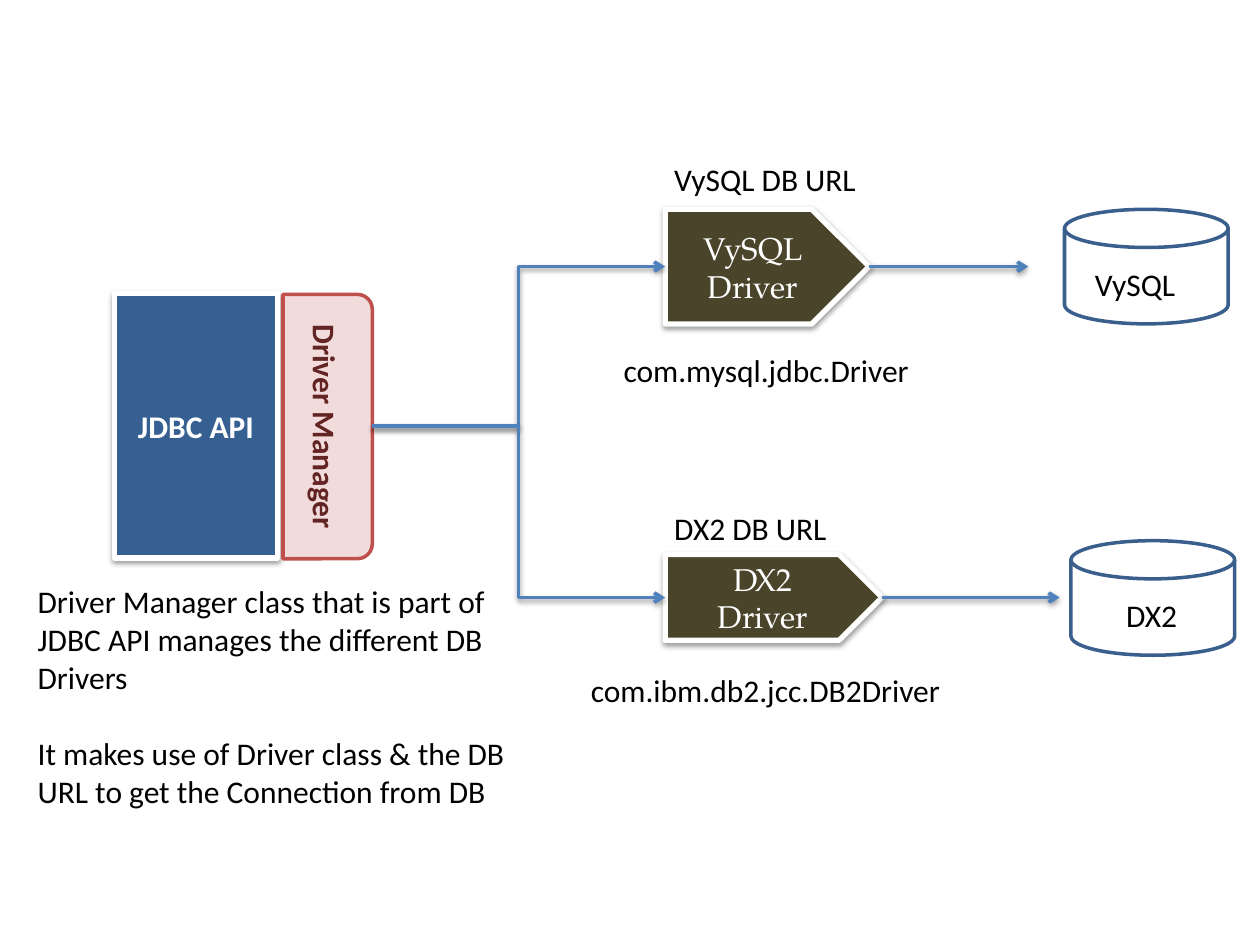
from dataclasses import dataclass

from lxml import etree
from pptx import Presentation
from pptx import util as u
from pptx.dml.color import RGBColor
from pptx.enum import shapes, text
from pptx.oxml import ns

WHITE = RGBColor(0xFF, 0xFF, 0xFF)
BLACK = RGBColor(0x00, 0x00, 0x00)
OLIVE = RGBColor(0x4A, 0x45, 0x2A)
NAVY = RGBColor(0x37, 0x60, 0x92)
PINK = RGBColor(0xF2, 0xDC, 0xDB)
RED = RGBColor(0xC0, 0x50, 0x4D)
MAROON = RGBColor(0x63, 0x25, 0x23)
LINK_BLUE = RGBColor(0x4F, 0x81, 0xBD)
DISK_BLUE = RGBColor(0x3A, 0x5F, 0x8C)

BODY_FONT = "Calibri"
DRIVER_FONT = "TeX Gyre Pagella"
FONT_SIZE = u.Pt(18)
LABEL_HEIGHT = 1.02
PLATE_LEFT = 13.41
MANAGER_EXIT = (7.49, 8.59)


@dataclass(frozen=True)
class Box:
    """A frame in centimetres."""
    left: float
    top: float
    width: float
    height: float = LABEL_HEIGHT

    def lengths(self):
        return [u.Cm(value) for value in (self.left, self.top, self.width, self.height)]


@dataclass(frozen=True)
class Label:
    words: str
    box: Box


@dataclass(frozen=True)
class DriverLane:
    """One driver with its labels, its database and the arrow between them."""
    driver: Label
    labels: tuple[Label, ...]
    disk: Box
    arrow_end: float


LANES = (
    DriverLane(
        Label("VySQL Driver", Box(PLATE_LEFT, 4.22, 4.11, 2.31)),
        (
            Label("VySQL DB URL", Box(13.34, 3.1, 4.42)),
            Label("com.mysql.jdbc.Driver", Box(12.32, 6.96, 6.32)),
            Label("VySQL", Box(21.82, 5.21, 2.34)),
        ),
        Box(21.46, 4.22, 3.3, 2.31),
        20.73,
    ),
    DriverLane(
        Label("DX2\nDriver", Box(PLATE_LEFT, 11.18, 4.37, 1.73)),
        (
            Label("DX2 DB URL", Box(13.34, 10.13, 3.66)),
            Label("com.ibm.db2.jcc.DB2Driver", Box(11.66, 13.41, 7.62)),
            Label("DX2", Box(22.45, 11.89, 1.57)),
        ),
        Box(21.59, 10.9, 3.3, 2.31),
        21.36,
    ),
)

NOTE = Label(
    "Driver Manager class that is part of JDBC API manages the different DB Drivers\n"
    "It makes use of Driver class & the DB URL to get the Connection from DB",
    Box(0.51, 11.61, 10.01, 4.88),
)


def add_shadow(element) -> None:
    properties = element.spPr
    effects = properties.find(ns.qn("a:effectLst"))
    if effects is None:
        effects = etree.SubElement(properties, ns.qn("a:effectLst"))
    shadow = etree.SubElement(
        effects, ns.qn("a:outerShdw"),
        blurRad="40000", dist="20000", dir="5400000", rotWithShape="0")
    color = etree.SubElement(shadow, ns.qn("a:srgbClr"), val="000000")
    etree.SubElement(color, ns.qn("a:alpha"), val="38000")


def write(shape, words: str, color: RGBColor, font: str = BODY_FONT,
          bold: bool = False, alignment=text.PP_ALIGN.LEFT) -> None:
    shape.text_frame.text = words
    for paragraph in shape.text_frame.paragraphs:
        paragraph.alignment = alignment
        for run in paragraph.runs:
            run.font.name = font
            run.font.size = FONT_SIZE
            run.font.bold = bold
            run.font.color.rgb = color


def add_block(slide, kind, box: Box, fill: RGBColor | None, line: RGBColor,
              line_width: float):
    shape = slide.shapes.add_shape(kind, *box.lengths())
    shape.shadow.inherit = False
    if fill is None:
        shape.fill.background()
    else:
        shape.fill.solid()
        shape.fill.fore_color.rgb = fill
    shape.line.color.rgb = line
    shape.line.width = u.Pt(line_width)
    shape.text_frame.word_wrap = True
    shape.text_frame.vertical_anchor = text.MSO_ANCHOR.MIDDLE
    return shape


def add_label(slide, label: Label, wrap: bool = False):
    shape = slide.shapes.add_textbox(*label.box.lengths())
    shape.text_frame.word_wrap = wrap
    shape.text_frame.auto_size = text.MSO_AUTO_SIZE.SHAPE_TO_FIT_TEXT
    write(shape, label.words, BLACK)
    return shape


def add_arrow(slide, kind, begin: tuple[float, float], end: tuple[float, float]):
    connector = slide.shapes.add_connector(
        kind, *(u.Cm(value) for value in (*begin, *end)))
    connector.line.color.rgb = LINK_BLUE
    connector.line.width = u.Pt(2)
    line = connector.line._get_or_add_ln()
    etree.SubElement(line, ns.qn("a:tailEnd"), type="arrow")
    add_shadow(connector._element)
    return connector


def add_lane(slide, lane: DriverLane) -> None:
    box = lane.driver.box
    middle = box.top + box.height / 2
    plate = add_block(slide, shapes.MSO_SHAPE.PENTAGON, box, OLIVE, WHITE, 3)
    add_shadow(plate._element)
    write(plate, lane.driver.words, WHITE, DRIVER_FONT, alignment=text.PP_ALIGN.CENTER)

    incoming = add_arrow(slide, shapes.MSO_CONNECTOR.ELBOW,
                         MANAGER_EXIT, (box.left, middle))
    incoming.end_connect(plate, 1)
    outgoing = add_arrow(slide, shapes.MSO_CONNECTOR.STRAIGHT,
                         (box.left + box.width, middle), (lane.arrow_end, middle))
    outgoing.begin_connect(plate, 3)

    for label in lane.labels:
        add_label(slide, label)
    add_block(slide, shapes.MSO_SHAPE.FLOWCHART_MAGNETIC_DISK, lane.disk,
              None, DISK_BLUE, 2)


def add_api(slide) -> None:
    api = add_block(slide, shapes.MSO_SHAPE.RECTANGLE,
                    Box(2.31, 5.92, 3.28, 5.33), NAVY, WHITE, 3)
    add_shadow(api._element)
    write(api, "JDBC API", WHITE, bold=True, alignment=text.PP_ALIGN.CENTER)

    manager = add_block(slide, shapes.MSO_SHAPE.ROUND_2_SAME_RECTANGLE,
                        Box(3.94, 7.7, 5.33, 1.8), PINK, RED, 2)
    manager.rotation = 90
    write(manager, "Driver Manager", MAROON, bold=True, alignment=text.PP_ALIGN.CENTER)


def main() -> None:
    presentation = Presentation()
    presentation.slide_width = u.Cm(25.4)
    presentation.slide_height = u.Cm(19.05)
    slide = presentation.slides.add_slide(presentation.slide_layouts[6])
    add_api(slide)
    for lane in LANES:
        add_lane(slide, lane)
    note = add_label(slide, NOTE, wrap=True)
    note.text_frame.paragraphs[1].space_before = u.Pt(22)
    presentation.save("out.pptx")


if __name__ == "__main__":
    main()
